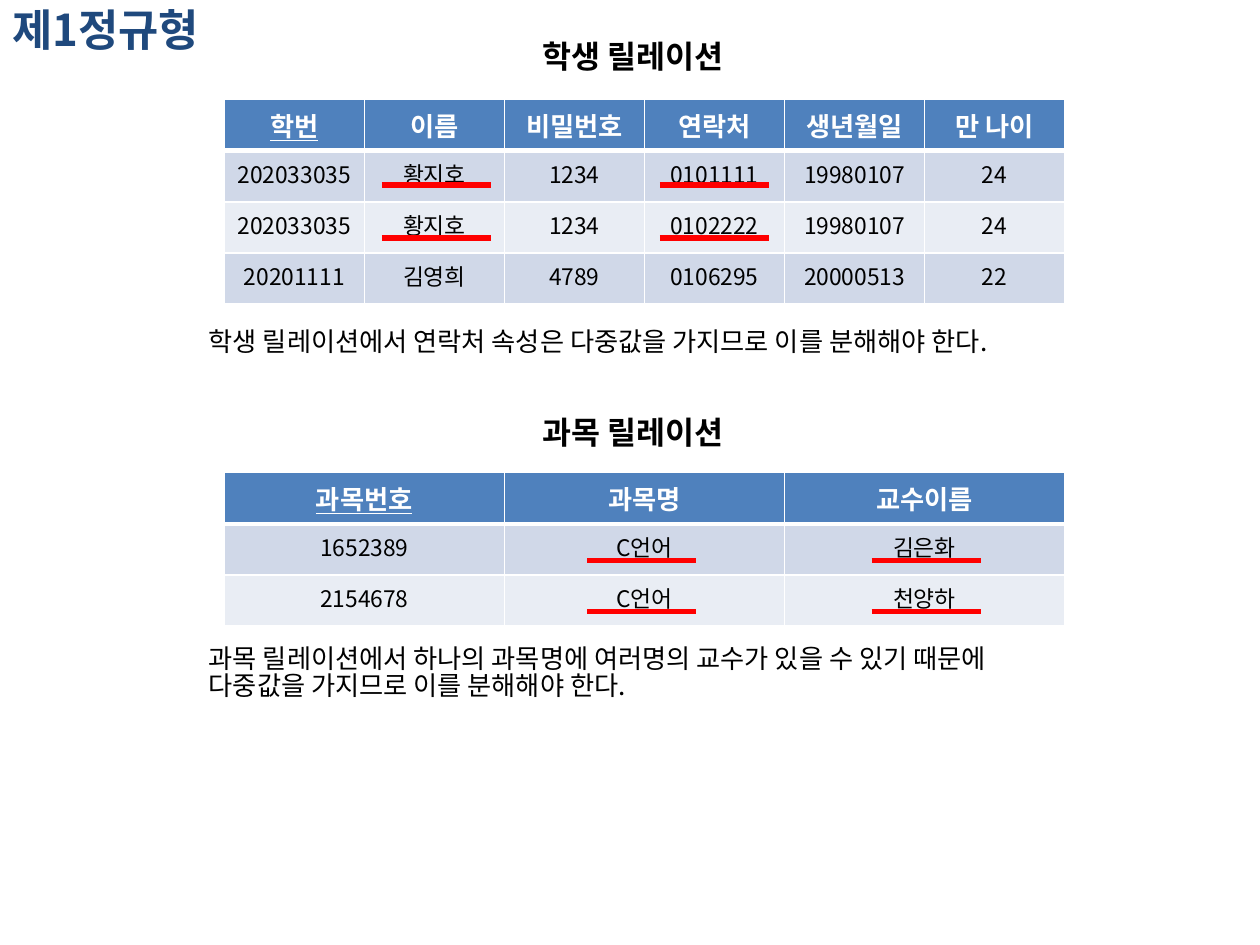
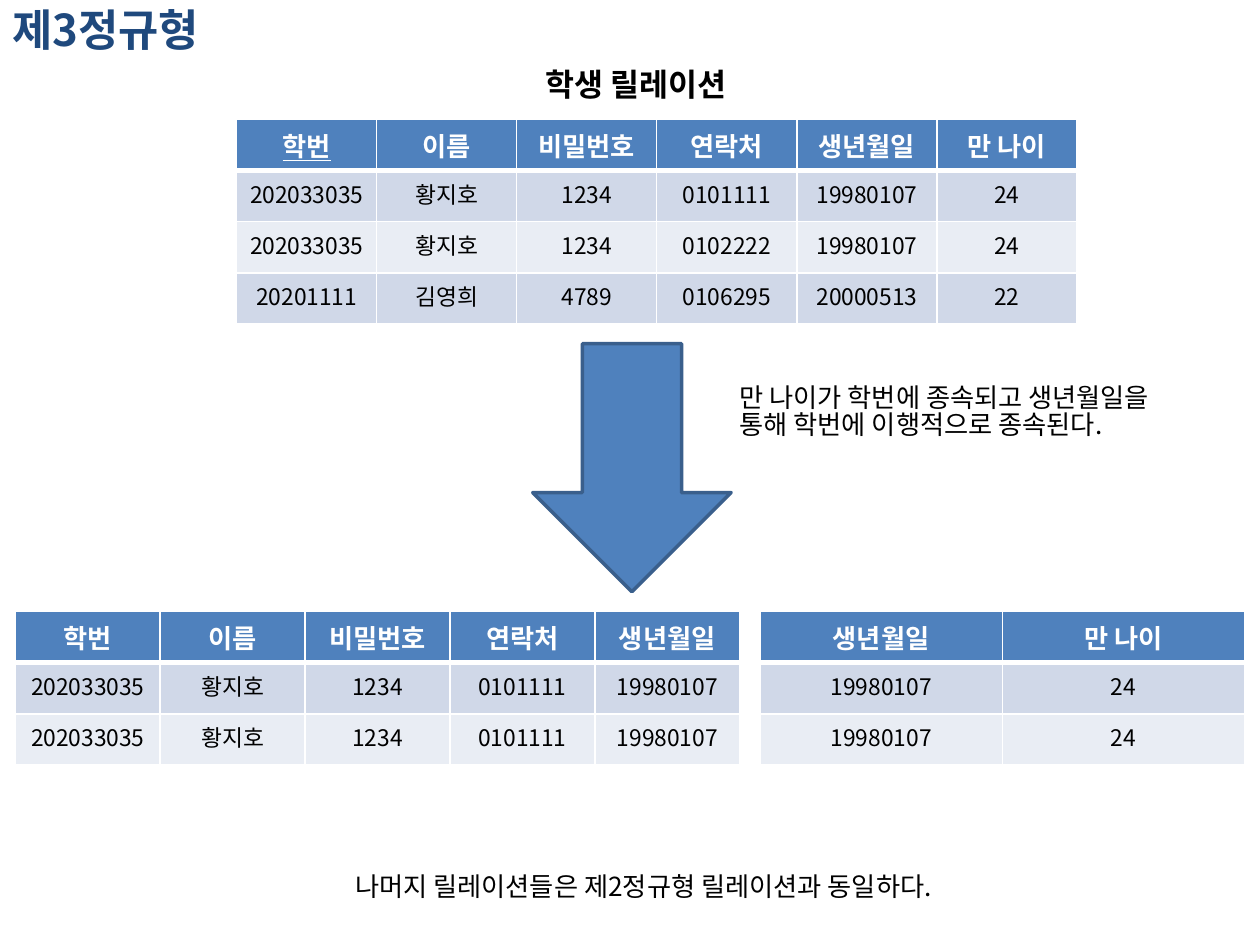
"""Build two slides on the first and third normal forms."""
from dataclasses import dataclass
from itertools import product

from lxml import etree
from pptx import Presentation
from pptx import util as u
from pptx.dml.color import RGBColor
from pptx.enum import shapes, text
from pptx.oxml.ns import qn

FONT = "Noto Sans CJK KR"
COLORS = {
    "title": "1F497D",
    "black": "000000",
    "white": "FFFFFF",
    "header": "4F81BD",
    "odd_row": "D0D8E8",
    "even_row": "E9EDF4",
    "arrow_line": "3A5F8C",
    "mark": "FF0000",
}
ROW_HEIGHT = 1.03
LINE_SPACING = 0.84
MARK_LENGTH = 2.2


@dataclass(frozen=True)
class TextStyle:
    """Look of a piece of text."""
    size: float
    color: str = "black"
    bold: bool = False


@dataclass(frozen=True)
class Label:
    """Text box, placed in centimetres."""
    content: str
    left: float
    top: float
    width: float
    height: float
    style: TextStyle


@dataclass(frozen=True)
class Relation:
    """Table with equal columns, placed in centimetres."""
    left: float
    top: float
    width: float
    rows: list[list[str]]
    has_key: bool = False


TITLE = TextStyle(25, "title", True)
HEADING = TextStyle(18, bold=True)
NOTE = TextStyle(15)
HEADER = TextStyle(15, "white", True)
CELL = TextStyle(13)

STUDENTS = [
    ["학번", "이름", "비밀번호", "연락처", "생년월일", "만 나이"],
    ["202033035", "황지호", "1234", "0101111", "19980107", "24"],
    ["202033035", "황지호", "1234", "0102222", "19980107", "24"],
    ["20201111", "김영희", "4789", "0106295", "20000513", "22"],
]
COURSES = [
    ["과목번호", "과목명", "교수이름"],
    ["1652389", "C언어", "김은화"],
    ["2154678", "C언어", "천양하"],
]
CONTACTS = [STUDENTS[0][:5], STUDENTS[1][:5], STUDENTS[1][:5]]
AGES = [["생년월일", "만 나이"]] + [["19980107", "24"]] * 2


def rgb(name: str) -> RGBColor:
    """Look up a named colour."""
    return RGBColor.from_string(COLORS[name])


def format_span(span, style: TextStyle) -> None:
    """Apply a text style, for Latin and Korean letters alike."""
    span.font.size = u.Pt(style.size)
    span.font.bold = style.bold
    span.font.color.rgb = rgb(style.color)
    span.font.name = FONT
    latin = span.font._element.find(qn("a:latin"))
    east_asian = etree.Element(qn("a:ea"), typeface=FONT)
    latin.addnext(east_asian)


def add_label(page, label: Label) -> None:
    """Add a text box."""
    box = page.shapes.add_textbox(u.Cm(label.left), u.Cm(label.top),
                                  u.Cm(label.width), u.Cm(label.height))
    box.text_frame.text = label.content
    box.text_frame.word_wrap = True
    for para in box.text_frame.paragraphs:
        para.line_spacing = LINE_SPACING
        for span in para.runs:
            format_span(span, label.style)


def add_title(page, content: str) -> None:
    """Add the slide title in the top left corner."""
    add_label(page, Label(content, 0, 0.1, 4.6, 1.32, TITLE))


def set_borders(cell, widths: dict[str, float]) -> None:
    """Give a cell white borders; keys are L, R, T and B, widths in points."""
    properties = cell._tc.get_or_add_tcPr()
    for position, (side, width) in enumerate(widths.items()):
        line = etree.Element(qn(f"a:ln{side}"), w=str(u.Pt(width)))
        fill = etree.SubElement(line, qn("a:solidFill"))
        etree.SubElement(fill, qn("a:srgbClr"), val=COLORS["white"])
        properties.insert(position, line)


def add_relation(page, relation: Relation) -> None:
    """Add a table with a header row and banded body rows."""
    row_count, column_count = len(relation.rows), len(relation.rows[0])
    table = page.shapes.add_table(
        row_count, column_count, u.Cm(relation.left), u.Cm(relation.top),
        u.Cm(relation.width), u.Cm(ROW_HEIGHT * row_count)).table
    for column in table.columns:
        column.width = u.Cm(relation.width / column_count)
    for row, column in product(range(row_count), range(column_count)):
        cell = table.cell(row, column)
        cell.text_frame.text = relation.rows[row][column]
        para = cell.text_frame.paragraphs[0]
        para.alignment = text.PP_ALIGN.CENTER
        span = para.runs[0]
        format_span(span, HEADER if row == 0 else CELL)
        if relation.has_key and row == column == 0:
            span.font.underline = True
        band = "odd_row" if row % 2 else "even_row"
        cell.fill.solid()
        cell.fill.fore_color.rgb = rgb("header" if row == 0 else band)
        set_borders(cell, {"L": 1, "R": 1, "T": 3 if row == 1 else 1,
                           "B": 3 if row == 0 else 1})


def add_marks(page, lefts: list[float], tops: list[float]) -> None:
    """Underline cells in red at every crossing of lefts and tops."""
    for left, top in product(lefts, tops):
        mark = page.shapes.add_connector(
            shapes.MSO_CONNECTOR.STRAIGHT, u.Cm(left), u.Cm(top),
            u.Cm(left + MARK_LENGTH), u.Cm(top))
        mark.line.color.rgb = rgb("mark")
        mark.line.width = u.Pt(3)
        etree.SubElement(mark._element.spPr, qn("a:effectLst"))


def add_down_arrow(page) -> None:
    """Add the arrow from the full relation to its two parts."""
    arrow = page.shapes.add_shape(shapes.MSO_SHAPE.DOWN_ARROW, u.Cm(10.74),
                                  u.Cm(6.93), u.Cm(4), u.Cm(5))
    arrow.shadow.inherit = False
    arrow.fill.solid()
    arrow.fill.fore_color.rgb = rgb("header")
    arrow.line.color.rgb = rgb("arrow_line")
    arrow.line.width = u.Pt(2)


def build_first_form(page) -> None:
    """Show the multivalued attributes of two relations."""
    add_title(page, "제1정규형")
    add_label(page, Label("학생 릴레이션", 10.69, 0.74, 4.6, 1.02, HEADING))
    add_relation(page, Relation(4.52, 2.01, 16.94, STUDENTS, has_key=True))
    add_label(page, Label(
        "학생 릴레이션에서 연락처 속성은 다중값을 가지므로 이를 분해해야 한다.",
        3.96, 6.53, 18.03, 0.89, NOTE))
    add_marks(page, [7.7, 13.3], [3.73, 4.8])
    add_label(page, Label("과목 릴레이션", 10.69, 8.33, 4.6, 1.02, HEADING))
    add_relation(page, Relation(4.52, 9.53, 16.94, COURSES, has_key=True))
    add_label(page, Label(
        "과목 릴레이션에서 하나의 과목명에 여러명의 교수가 있을 수 있기 때문에\n"
        "다중값을 가지므로 이를 분해해야 한다.",
        3.96, 12.93, 18.42, 1.55, NOTE))
    add_marks(page, [11.84, 17.57], [11.3, 12.32])


def build_third_form(page) -> None:
    """Split off the transitively dependent age."""
    add_title(page, "제3정규형")
    add_label(page, Label("학생 릴레이션", 10.74, 1.3, 4.6, 1.02, HEADING))
    add_relation(page, Relation(4.77, 2.41, 16.94, STUDENTS, has_key=True))
    add_down_arrow(page)
    add_label(page, Label(
        "만 나이가 학번에 종속되고 생년월일을\n통해 학번에 이행적으로 종속된다.",
        14.66, 7.67, 9.8, 1.55, NOTE))
    add_relation(page, Relation(0.31, 12.33, 14.6, CONTACTS))
    add_relation(page, Relation(15.32, 12.33, 9.77, AGES))
    add_label(page, Label("나머지 릴레이션들은 제2정규형 릴레이션과 동일하다.",
                          6.91, 17.53, 13.31, 0.89, NOTE))


def main() -> None:
    """Build and save the deck."""
    deck = Presentation()
    deck.slide_width, deck.slide_height = u.Cm(25.4), u.Cm(19.05)
    blank = deck.slide_layouts[6]
    for build in (build_first_form, build_third_form):
        build(deck.slides.add_slide(blank))
    deck.save("out.pptx")


main()
